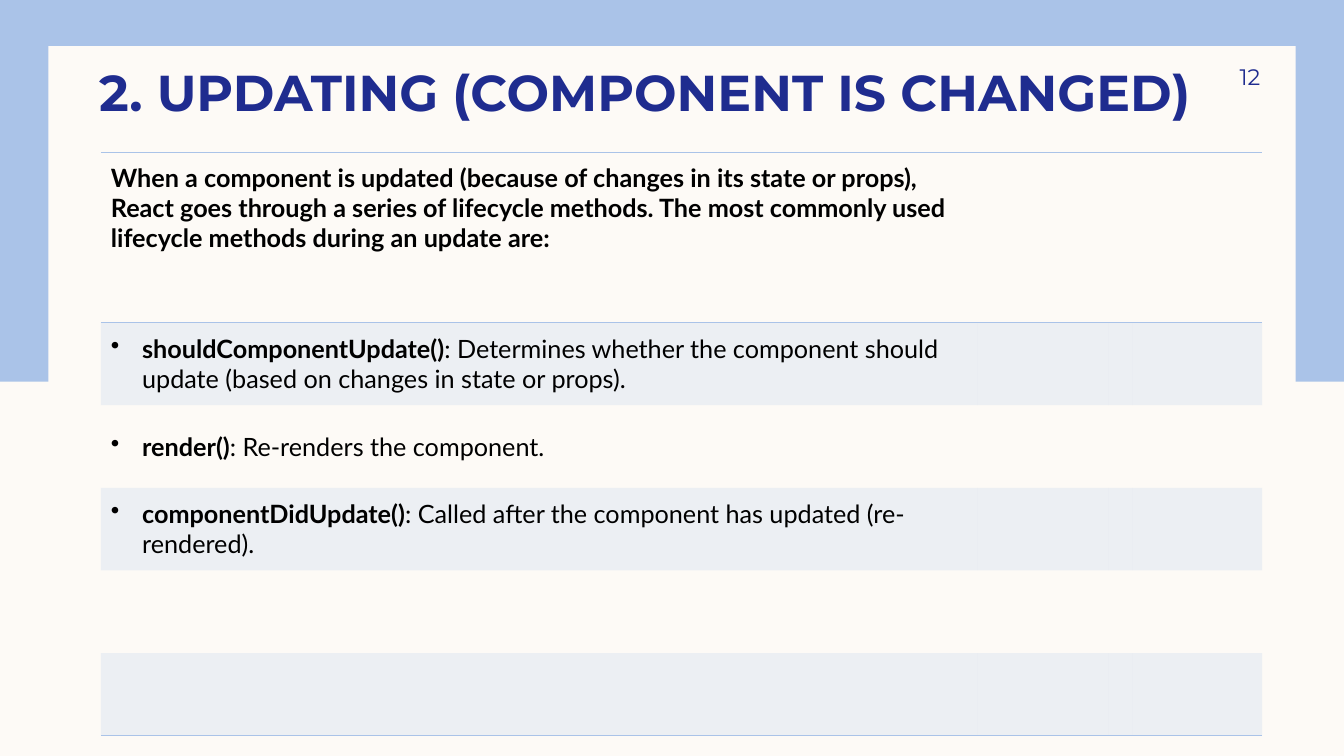
from lxml.etree import SubElement as Sub
from pptx import Presentation
from pptx.dml.color import RGBColor
from pptx.enum.shapes import MSO_SHAPE as Shape
from pptx.enum.text import MSO_ANCHOR as Anchor, PP_ALIGN as Align
from pptx.oxml.ns import qn
from pptx.util import Inches, Pt

WIDE, HIGH = 13.33, 7.5
BLUE, CREAM, NAVY, BLACK = "AAC3E8", "FDFAF6", "1F2C8F", "000000"
HEAD, BODY = "Montserrat", "Lato"
PLAIN = "{2D5ABB26-0587-4C30-8999-92F81FD0307C}"  # table style without fills or grid

TITLE = "2. UPDATING (COMPONENT IS CHANGED)"
INTRO = ("When a component is updated (because of changes in its state or props), "
         "React goes through a series of lifecycle methods. "
         "The most commonly used lifecycle methods during an update are:")
METHODS = [
    ("shouldComponentUpdate()", ": Determines whether the component should update "
                                "(based on changes in state or props)."),
    ("render()", ": Re-renders the component."),
    ("componentDidUpdate()", ": Called after the component has updated (re-rendered)."),
]
COLS = [8.7, 1.29, 0.23, 1.29]
ROWS = [1.69] + [0.82] * 5


def color(code):
    return RGBColor.from_string(code)


def place(box):
    return [Inches(n) for n in box]


def style(font, size, name, code, bold=False):
    font.size, font.name, font.bold = Pt(size), name, bold
    font.color.rgb = color(code)


def panel(slide, box, code):
    shape = slide.shapes.add_shape(Shape.RECTANGLE, *place(box))
    shape.shadow.inherit = False
    shape.fill.solid()
    shape.fill.fore_color.rgb = color(code)
    shape.line.fill.background()


def frame(slide, wide, high):
    """Blue upper half with a cream page inset on it."""
    slide.background.fill.solid()
    slide.background.fill.fore_color.rgb = color(CREAM)
    side, top = 0.036 * wide, 0.061 * high
    panel(slide, (0, 0, wide, 0.505 * high), BLUE)
    panel(slide, (side, top, wide - 2 * side, 0.88 * high), CREAM)


def write(shape, box, text, size, bold, align, anchor, pads):
    shape.left, shape.top, shape.width, shape.height = place(box)
    body = shape.text_frame
    body.word_wrap, body.vertical_anchor = True, anchor
    body.margin_left, body.margin_top, body.margin_right, body.margin_bottom = place(pads)
    line = body.paragraphs[0]
    line.text, line.alignment = text, align
    style(line.font, size, HEAD, NAVY, bold)


def header(slide, box):
    left, top, wide, high = box
    title = slide.shapes.title
    write(title, box, TITLE, 36, True, Align.CENTER, Anchor.BOTTOM, (0.1, 0, 0.1, 0))
    slide.shapes._spTree.append(title._element)  # bring above the panels
    spot = (left + wide - 1, top - 0.01, 1.17, 0.52)
    label = slide.shapes.add_textbox(*place(spot))
    write(label, spot, "12", 16, False, Align.RIGHT, Anchor.MIDDLE, (0.1, 0.05, 0, 0.05))


def rule(cell, edge):
    line = Sub(cell._tc.get_or_add_tcPr(), qn("a:ln" + edge), w=str(Pt(1)))
    Sub(Sub(line, qn("a:solidFill")), qn("a:srgbClr"), val=BLUE)


def tint(cell):
    cell.fill.solid()
    cell.fill.fore_color.rgb = color(BLUE)
    for mark in cell._tc.iter(qn("a:srgbClr")):
        if mark.getparent().getparent().tag == qn("a:tcPr"):
            Sub(mark, qn("a:alpha"), val="20000")


def bullet(cell, name, note):
    line = cell.text_frame.paragraphs[0]
    style(line.font, 18, BODY, BLACK)
    line.add_run().text = name
    line.runs[0].font.bold = True
    line.add_run().text = note
    props = line._p.get_or_add_pPr()
    props.set("marL", str(Inches(0.31)))
    props.set("indent", str(-Inches(0.31)))
    char = Sub(props, qn("a:buChar"), char="•")
    props.find(qn("a:defRPr")).addprevious(char)


def methods(slide, left, top):
    box = (left, top, sum(COLS), sum(ROWS))
    table = slide.shapes.add_table(len(ROWS), len(COLS), *place(box)).table
    table.first_row = table.horz_banding = False
    table._tbl.tblPr.find(qn("a:tableStyleId")).text = PLAIN
    for col, wide in zip(table.columns, COLS):
        col.width = Inches(wide)
    for r, high in enumerate(ROWS):
        table.rows[r].height = Inches(high)
        for cell in table.rows[r].cells:
            cell.vertical_anchor = Anchor.MIDDLE
            if r == 0:
                rule(cell, "T")
            if r in (0, len(ROWS) - 1):
                rule(cell, "B")
            if r % 2:
                tint(cell)
            else:
                cell.fill.background()
    intro = table.cell(0, 0)
    intro.vertical_anchor, intro.margin_top = Anchor.TOP, Inches(0.1)
    line = intro.text_frame.paragraphs[0]
    line.text = INTRO
    style(line.font, 18, BODY, BLACK, True)
    for r, (name, note) in enumerate(METHODS, 1):
        bullet(table.cell(r, 0), name, note)


def main():
    deck = Presentation()
    deck.slide_width, deck.slide_height = Inches(WIDE), Inches(HIGH)
    slide = deck.slides.add_slide(deck.slide_layouts[5])
    frame(slide, WIDE, HIGH)
    header(slide, (0.46, 0.51, 11.87, 0.7))
    methods(slide, 1, 1.51)
    deck.save("out.pptx")


if __name__ == "__main__":
    main()
